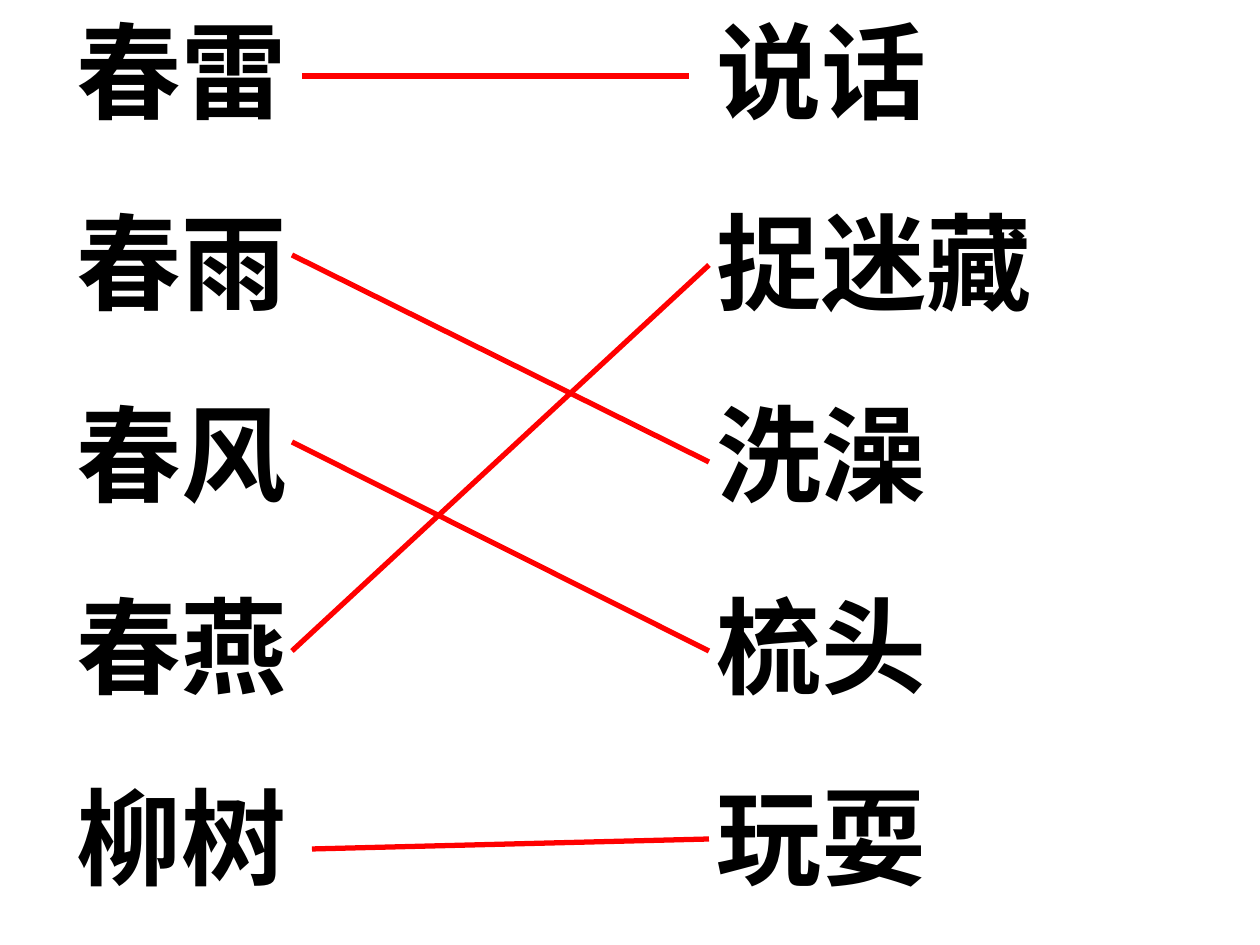
from pptx import Presentation
from pptx.dml.color import RGBColor
from pptx.enum.shapes import MSO_CONNECTOR
from pptx.enum.text import MSO_ANCHOR, MSO_AUTO_SIZE, PP_ALIGN
from pptx.oxml.ns import qn
from pptx.util import Emu, Inches, Pt
from lxml.etree import SubElement

BLACK = RGBColor(0x00, 0x00, 0x00)
RED = RGBColor(0xFF, 0x00, 0x00)
PX = Inches(1) / 126

WORD_FORMAT = {"name": "Times New Roman", "size": Pt(60), "bold": True}
FRAME_FORMAT = {
    "word_wrap": True,
    "auto_size": MSO_AUTO_SIZE.SHAPE_TO_FIT_TEXT,
    "vertical_anchor": MSO_ANCHOR.TOP,
    "margin_left": Inches(0.1),
    "margin_right": Inches(0.1),
    "margin_top": Inches(0.05),
    "margin_bottom": Inches(0.05),
}
WORD_GAP = Pt(37.5)


def px(length):
    return Emu(round(length * PX))


def apply(target, values):
    for name, value in values.items():
        setattr(target, name, value)


class MatchingPage:
    """Style and current slide of a matching exercise."""

    def __init__(self, deck):
        self.page = deck.slides.add_slide(deck.slide_layouts.get_by_name("Two Content"))
        title = self.page.shapes.title
        title.element.getparent().remove(title.element)

    def word_list(self, index, left, top, width, height, words):
        box = self.page.placeholders[index]
        apply(box, {"left": px(left), "top": px(top),
                    "width": px(width), "height": px(height)})
        frame = box.text_frame
        apply(frame, FRAME_FORMAT)
        for number, word in enumerate(words):
            para = frame.add_paragraph() if number else frame.paragraphs[0]
            properties = para._p.get_or_add_pPr()
            properties.set("marL", "0")
            properties.set("indent", "0")
            SubElement(properties, qn("a:buNone"))
            apply(para, {"alignment": PP_ALIGN.LEFT,
                         "space_before": WORD_GAP if number else Pt(0)})
            span = para.add_run()
            span.text = word
            apply(span.font, WORD_FORMAT)
            span.font.color.rgb = BLACK

    def match_line(self, start, end):
        line = self.page.shapes.add_connector(
            MSO_CONNECTOR.STRAIGHT, *map(px, start + end))
        line.line.color.rgb = RED
        line.line.width = Pt(3)
        SubElement(line.element.spPr, qn("a:effectLst"))


def main():
    deck = Presentation()
    deck.slide_width, deck.slide_height = Inches(10), Inches(7.5)
    exercise = MatchingPage(deck)

    # Word columns
    exercise.word_list(1, 64, 0, 387, 906, ["春雷", "春雨", "春风", "春燕", "柳树"])
    exercise.word_list(2, 704, 0, 660, 1097, ["说话", "捉迷藏", "洗澡", "梳头", "玩耍"])

    # Answer lines
    for start, end in [
        ((709, 265), (292, 651)),
        ((302, 76), (689, 76)),
        ((292, 255), (709, 462)),
        ((292, 442), (709, 651)),
        ((312, 849), (709, 839)),
    ]:
        exercise.match_line(start, end)

    deck.save("out.pptx")


if __name__ == "__main__":
    main()
